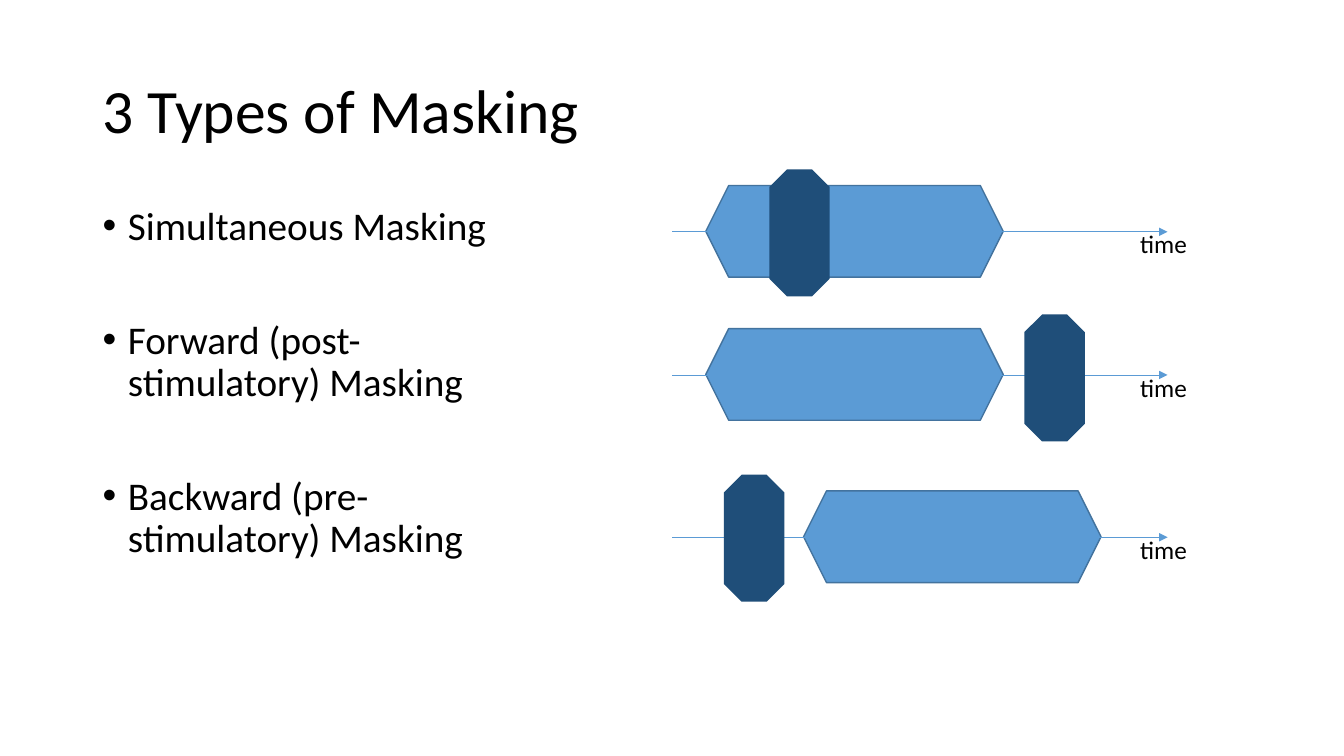
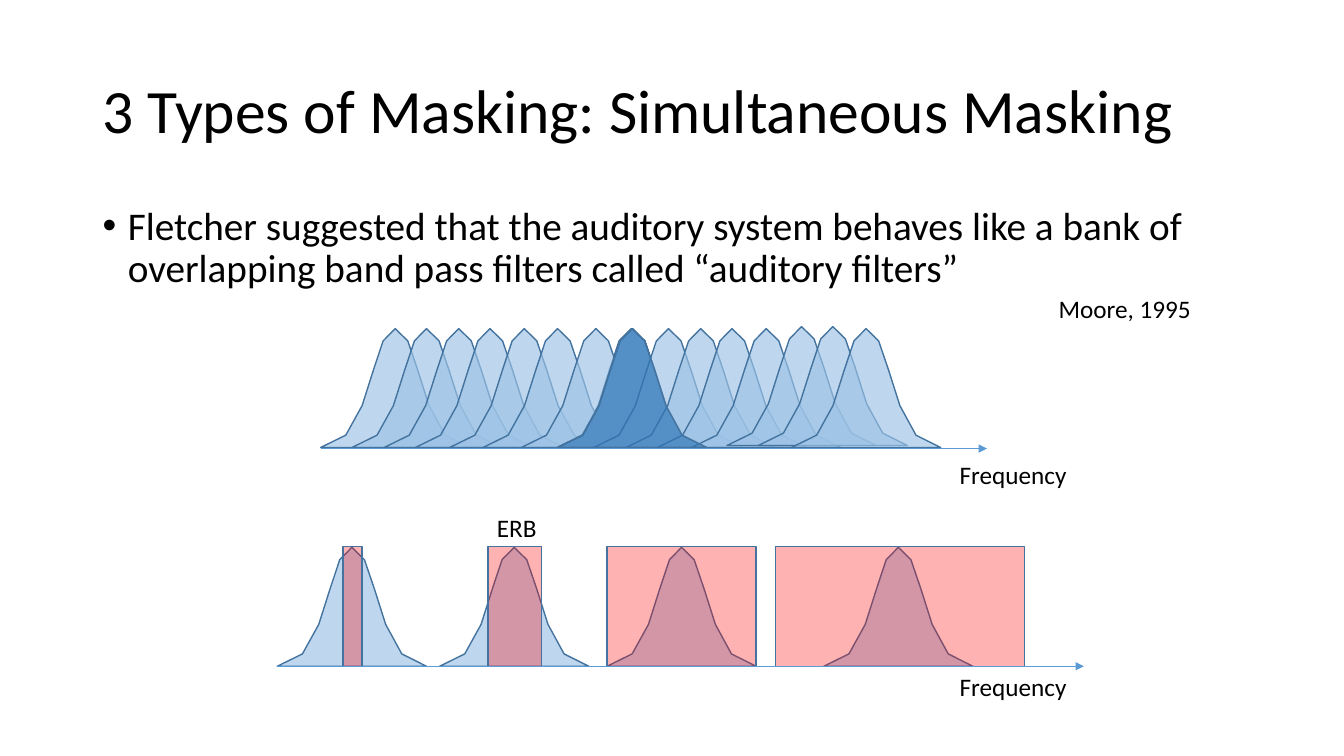
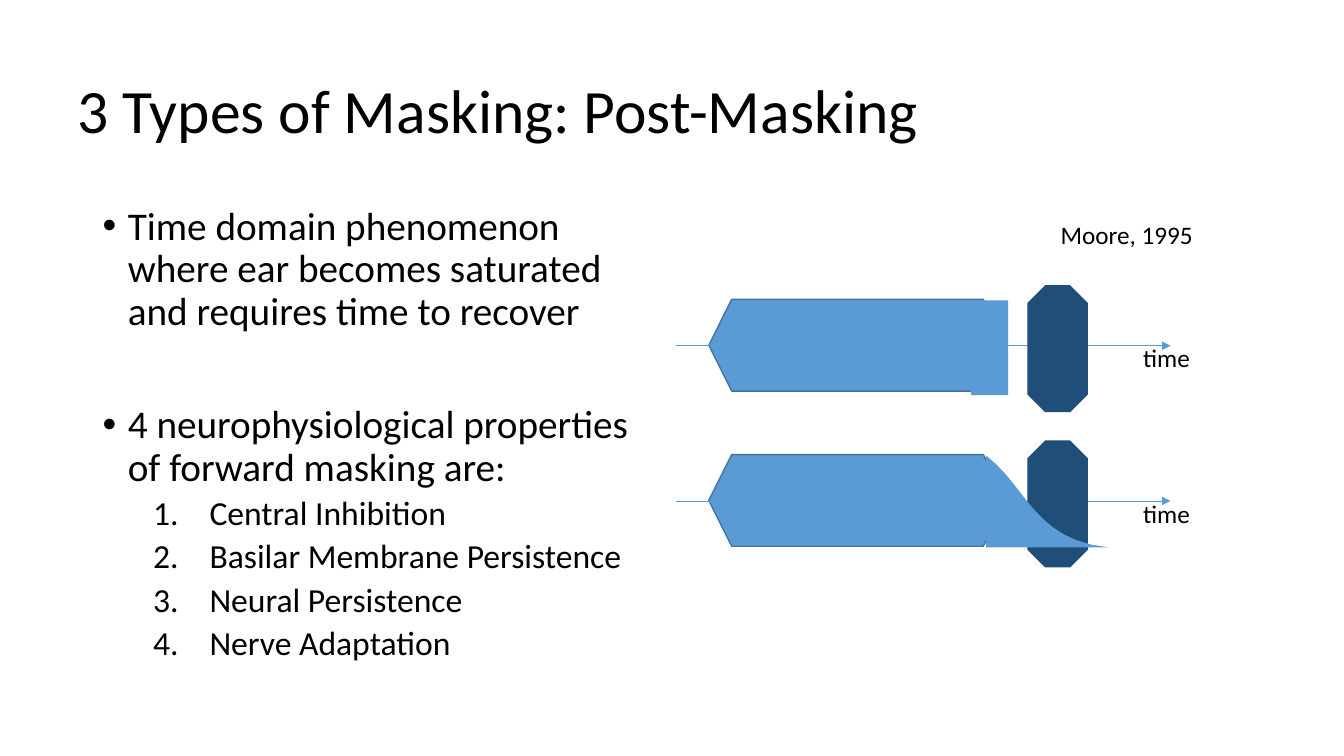
from lxml import etree
from pptx import Presentation
from pptx.dml.color import RGBColor
from pptx.enum.shapes import MSO_CONNECTOR, MSO_SHAPE
from pptx.enum.text import MSO_ANCHOR
from pptx.oxml.ns import qn
from pptx.util import Inches, Pt

FONT = "Calibri"
COLORS = {
    "text": "000000",
    "masker": "5B9BD5",
    "outline": "43739E",
    "probe": "1F4E79",
    "filter": "9DC3E6",
    "focus": "2E75B6",
    "erb": "FF0000",
}
BELL_W, BELL_H = 1.48, 1.18
GAP = 51  # space before a bullet that starts a new block, in points


def color(name):
    """Return the named colour."""
    return RGBColor.from_string(COLORS[name])


def add_run(p, text, size):
    """Add one run in the deck's font."""
    r = p.add_run()
    r.text = text
    r.font.name = FONT
    r.font.size = Pt(size)
    r.font.color.rgb = color("text")


def text_box(s, x, y, w, h):
    """Add a wrapping text box and return its frame."""
    tf = s.shapes.add_textbox(Inches(x), Inches(y), Inches(w), Inches(h)).text_frame
    tf.word_wrap = True
    return tf


def add_title(s, text, x=0.92, w=11.5):
    """Add the slide title."""
    tf = text_box(s, x, 0.4, w, 1.45)
    tf.vertical_anchor = MSO_ANCHOR.MIDDLE
    p = tf.paragraphs[0]
    p.line_spacing = 0.9
    add_run(p, text, 44)


def add_label(s, text, x, y, w):
    """Add a small caption."""
    tf = text_box(s, x, y, w, 0.4)
    tf.margin_right = 0
    add_run(tf.paragraphs[0], text, 18)


def set_bullet(p, left, hang, tag, **attrs):
    """Give a paragraph a hanging bullet or number."""
    pPr = p._p.get_or_add_pPr()
    pPr.set("marL", str(Inches(left)))
    pPr.set("indent", str(-Inches(hang)))
    if tag == "a:buChar":
        etree.SubElement(pPr, qn("a:buFont")).set("typeface", "Arial")
    bullet = etree.SubElement(pPr, qn(tag))
    for key, value in attrs.items():
        bullet.set(key, value)


def add_body(s, bullets, w, h, numbered=()):
    """Add spaced bullets, then an optional numbered sub-list."""
    tf = text_box(s, 0.92, 2, w, h)
    for i, text in enumerate([*bullets, *numbered]):
        p = tf.add_paragraph() if i else tf.paragraphs[0]
        p.line_spacing = 0.9
        if i < len(bullets):
            p.space_before = Pt(GAP if i else 10)
            set_bullet(p, 0.25, 0.25, "a:buChar", char="•")
            add_run(p, text, 28)
        else:
            p.level = 1
            p.space_before = Pt(5)
            set_bullet(p, 1.06, 0.56, "a:buAutoNum", type="arabicPeriod")
            add_run(p, text, 24)


def style(shape, fill, outlined=True, alpha=100):
    """Set fill, opacity in percent and outline."""
    shape.shadow.inherit = False
    shape.fill.solid()
    shape.fill.fore_color.rgb = color(fill)
    if alpha < 100:
        clr = shape._element.spPr.find(qn("a:solidFill")).find(qn("a:srgbClr"))
        etree.SubElement(clr, qn("a:alpha")).set("val", str(alpha * 1000))
    if outlined:
        shape.line.color.rgb = color("outline")
        shape.line.width = Pt(1)
    else:
        shape.line.fill.background()


def add_preset(s, kind, x, y, w, h, fill, outlined=True, alpha=100):
    """Add a preset shape."""
    shape = s.shapes.add_shape(kind, Inches(x), Inches(y), Inches(w), Inches(h))
    style(shape, fill, outlined, alpha)


def add_axis(s, x1, x2, y):
    """Add a thin horizontal arrow."""
    axis = s.shapes.add_connector(
        MSO_CONNECTOR.STRAIGHT, Inches(x1), Inches(y), Inches(x2), Inches(y))
    axis.line.color.rgb = color("masker")
    axis.line.width = Pt(0.5)
    spPr = axis._element.spPr
    etree.SubElement(spPr.find(qn("a:ln")), qn("a:tailEnd")).set("type", "triangle")
    etree.SubElement(spPr, qn("a:effectLst"))


def bezier(p0, p1, p2, p3, steps=5):
    """Return points along a cubic curve, without its start."""
    points = []
    for i in range(1, steps + 1):
        t = i / steps
        u = 1 - t
        points.append(tuple(
            u**3 * a + 3 * u * u * t * b + 3 * u * t * t * c + t**3 * d
            for a, b, c, d in zip(p0, p1, p2, p3)))
    return points


def add_outline(s, x, y, points, fill, outlined=True, alpha=100):
    """Add a closed outline of points relative to x, y."""
    placed = [(Inches(x + px), Inches(y + py)) for px, py in points]
    builder = s.shapes.build_freeform(*placed[0])
    builder.add_line_segments(placed[1:], close=True)
    style(builder.convert_to_shape(), fill, outlined, alpha)


def add_bell(s, x, y, fill="filter"):
    """Add a translucent bell-shaped filter."""
    start, peak, end = (0, BELL_H), (0.74, 0), (BELL_W, BELL_H)
    points = [start]
    points += bezier(start, (0.51, BELL_H), (0.5, 0), peak)
    points += bezier(peak, (0.99, 0), (0.98, BELL_H), end)
    add_outline(s, x, y, points, fill, alpha=65)


def add_timeline(s, x, y, masker_x, probe_x, probe_y):
    """Add a time axis with a masker and a probe."""
    add_preset(s, MSO_SHAPE.HEXAGON, masker_x, y - 0.46, 2.95, 0.91, "masker")
    add_axis(s, x, x + 4.91, y)
    add_preset(s, MSO_SHAPE.OCTAGON, probe_x, probe_y, 0.6, 1.26, "probe", False)
    add_label(s, "time", x + 4.54, y - 0.08, 0.92)


def types_slide(s):
    """Build the overview of the three types."""
    add_title(s, "3 Types of Masking")
    add_body(s, ["Simultaneous Masking",
                 "Forward (post-stimulatory) Masking",
                 "Backward (pre-stimulatory) Masking"], 4.05, 4.76)
    for y, masker_x, probe_x, probe_y in [
            (2.3, 7, 7.63, 1.68), (3.72, 7, 10.16, 3.12), (5.33, 7.97, 7.18, 4.71)]:
        add_timeline(s, 6.67, y, masker_x, probe_x, probe_y)


def simultaneous_slide(s):
    """Build the filter bank and the bandwidth row."""
    add_title(s, "3 Types of Masking: Simultaneous Masking")
    add_body(s, ["Fletcher suggested that the auditory system behaves like a bank of "
                 "overlapping band pass filters called “auditory filters”"], 11.5, 1.45)

    raised = (7.21, 7.52)
    bank = [3.18, 5.52, 3.49, 3.81, 4.12, 4.46, 4.79, 5.17, *[5.53] * 4,
            5.89, 6.21, 6.52, 6.86, *raised, 7.85]
    for x in bank:
        add_bell(s, x, 3.24 if x in raised else 3.26)
    add_bell(s, 5.53, 3.26, "focus")
    add_label(s, "Frequency", 9.42, 4.51, 1.33)
    add_axis(s, 3.18, 9.79, 4.45)

    for bell_x, band_x, band_w in [
            (2.75, 3.4, 0.19), (4.36, 4.84, 0.53), (6.02, 6.02, 1.48), (8.17, 7.69, 2.47)]:
        add_bell(s, bell_x, 5.43)
        add_preset(s, MSO_SHAPE.RECTANGLE, band_x, 5.42, band_w, 1.19, "erb", alpha=30)
    add_axis(s, 2.75, 10.75, 6.61)
    add_label(s, "ERB", 4.83, 5.03, 0.61)
    add_label(s, "Frequency", 9.42, 6.61, 1.33)
    add_label(s, "Moore, 1995", 10.4, 2.86, 1.68)


def post_masking_slide(s):
    """Build the abrupt and the decaying masker."""
    add_title(s, "3 Types of Masking: Post-Masking", 0.67, 12.17)
    add_body(s, ["Time domain phenomenon where ear becomes saturated and requires "
                 "time to recover",
                 "4 neurophysiological properties of forward masking are:"], 5.47, 4.76,
             ["Central Inhibition", "Basilar Membrane Persistence",
              "Neural Persistence", "Nerve Adaptation"])
    for y in (4.97, 3.43):
        add_timeline(s, 6.7, y, 7.03, 10.19, y - 0.6)

    top, foot = (0, 0), (1.21, 0.91)
    decay = [(0, 0.91), top, *bezier(top, (0.4, 0.3), (0.48, 0.84), foot, steps=12)]
    add_outline(s, 9.78, 4.52, decay, "masker", outlined=False)
    add_preset(s, MSO_SHAPE.RECTANGLE, 9.63, 2.98, 0.37, 0.94, "masker", False)
    add_label(s, "Moore, 1995", 10.42, 2.13, 1.68)


def main():
    """Build and save the deck."""
    prs = Presentation()
    prs.slide_width = Inches(13.33)
    prs.slide_height = Inches(7.5)
    for build in (types_slide, simultaneous_slide, post_masking_slide):
        build(prs.slides.add_slide(prs.slide_layouts[6]))
    prs.save("out.pptx")


main()
